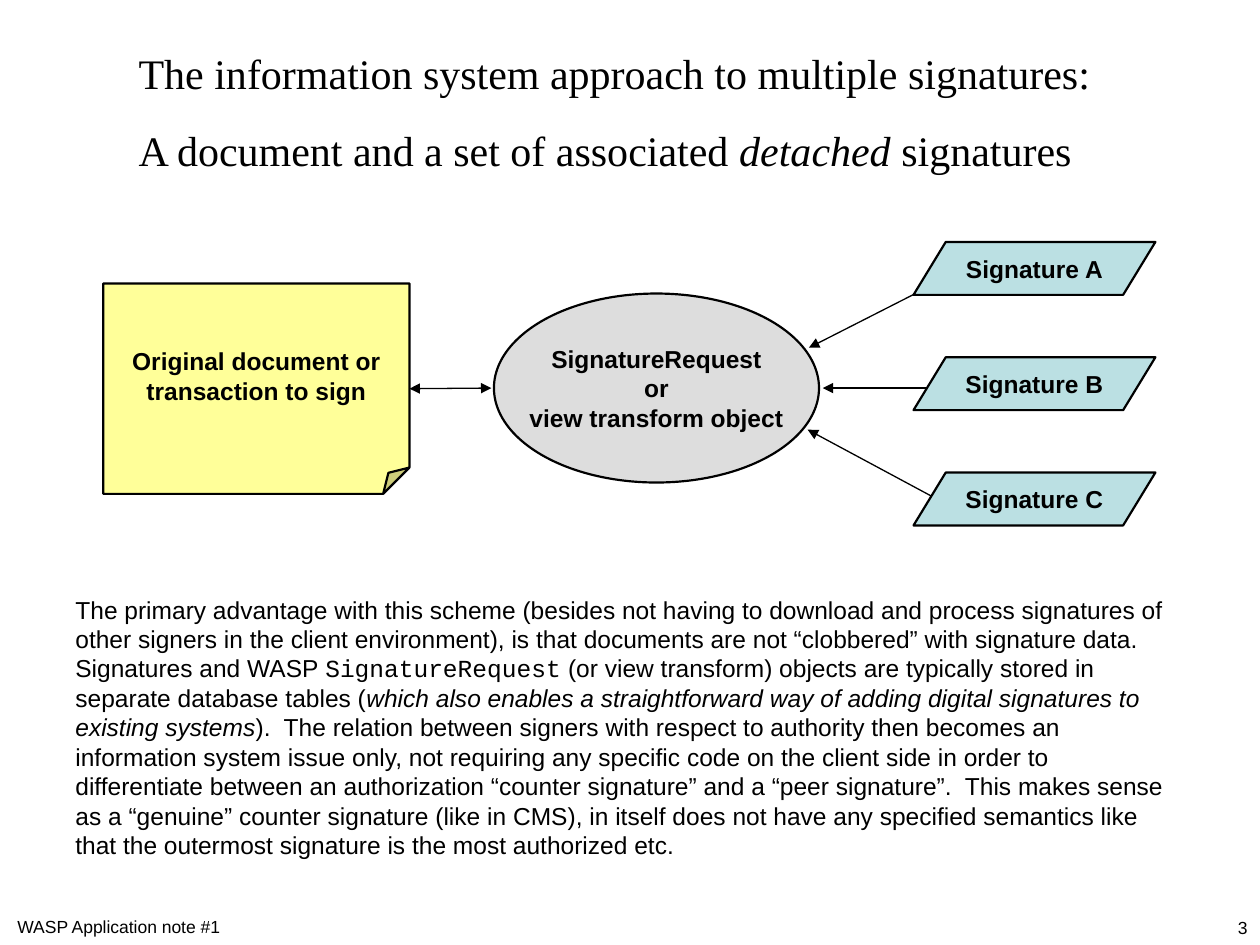
from lxml.etree import SubElement
from pptx import Presentation
from pptx.dml.color import RGBColor
from pptx.enum.shapes import MSO_CONNECTOR as Link, MSO_SHAPE as Shape
from pptx.enum.text import MSO_ANCHOR as Anchor, MSO_AUTO_SIZE as AutoSize, PP_ALIGN as Align
from pptx.oxml.ns import qn
from pptx.util import Inches, Pt

BLACK = "000000"
ADVANTAGE = [
    ("The primary advantage with this scheme (besides not having to download and process "
     "signatures of other signers in the client environment), is that documents are not "
     "“clobbered” with signature data.  Signatures and WASP ", {}),
    ("SignatureRequest", {"font": "Courier New"}),
    (" (or view transform) objects are typically stored in separate database tables (", {}),
    ("which also enables a straightforward way of adding digital signatures to existing systems",
     {"italic": True}),
    (").  The relation between signers with respect to authority then becomes an information "
     "system issue only, not requiring any specific code on the client side in order to "
     "differentiate between an authorization “counter signature” and a “peer signature”.  "
     "This makes sense as a “genuine” counter signature (like in CMS), in itself does not have "
     "any specified semantics like that the outermost signature is the most authorized etc.", {}),
]
HEADING = [
    [("The information system approach to multiple signatures:", {})],
    [("A document and a set of associated ", {}), ("detached", {"italic": True}),
     (" signatures", {})],
]


def color(value):
    return RGBColor.from_string(value)


def write(paragraph, text, font="Arial", size=14, bold=False, italic=False, ink=BLACK):
    for number, line in enumerate(text.split("\n")):
        if number:
            paragraph.add_line_break()
        run = paragraph.add_run()
        run.text = line
        run.font.name = font
        run.font.size = Pt(size)
        run.font.bold = bold
        run.font.italic = italic
        run.font.color.rgb = color(ink)


def fill_text(holder, paragraphs, align=Align.LEFT, space_before=0, **style):
    frame = holder.text_frame
    frame.word_wrap = True
    frame.auto_size = AutoSize.NONE
    frame.vertical_anchor = Anchor.TOP
    for number, pieces in enumerate(paragraphs):
        paragraph = frame.add_paragraph() if number else frame.paragraphs[0]
        paragraph.alignment = align
        paragraph.space_before = Pt(space_before)
        for text, emphasis in pieces:
            write(paragraph, text, **{**style, **emphasis})


def add_heading(slide):
    heading = slide.shapes.title
    heading.left, heading.top = Inches(1), Inches(0.33)
    heading.width, heading.height = Inches(8.25), Inches(1.11)
    fill_text(heading, HEADING, space_before=15, font="Times New Roman", size=24)


def add_text(slide, left, top, width, height, pieces, **style):
    box = slide.shapes.add_textbox(Inches(left), Inches(top), Inches(width), Inches(height))
    fill_text(box, [pieces], **style)


def add_node(slide, kind, left, top, width, height, fill, label):
    node = slide.shapes.add_shape(kind, Inches(left), Inches(top), Inches(width), Inches(height))
    node.shadow.inherit = False
    node.fill.solid()
    node.fill.fore_color.rgb = color(fill)
    node.line.color.rgb = color(BLACK)
    node.line.width = Pt(1.25)
    fill_text(node, [[(label, {})]], align=Align.CENTER, bold=True)
    node.text_frame.vertical_anchor = Anchor.MIDDLE
    node.text_frame.word_wrap = False
    return node


def set_adjustment(node, share):
    guides = node._element.spPr.find(qn("a:prstGeom")).find(qn("a:avLst"))
    for guide in list(guides):
        guides.remove(guide)
    SubElement(guides, qn("a:gd"), name="adj", fmla=f"val {round(share * 100000)}")


def add_arrow(slide, start, end, both_ends=False):
    arrow = slide.shapes.add_connector(Link.STRAIGHT, *map(Inches, start + end))
    arrow.line.color.rgb = color(BLACK)
    arrow.line.width = Pt(0.75)
    outline = arrow.line._get_or_add_ln()
    for tag in ("a:headEnd", "a:tailEnd") if both_ends else ("a:tailEnd",):
        SubElement(outline, qn(tag), type="triangle")
    SubElement(arrow._element.spPr, qn("a:effectLst"))
    return arrow


def add_diagram(slide):
    middle = 3.08
    signature_arrows = [
        ((7.58, 2.17), (6.42, 2.76)),
        ((7.95, middle), (6.53, middle)),
        ((7.49, 3.99), (6.41, 3.41)),
    ]
    for start, end in signature_arrows:
        add_arrow(slide, start, end)
    for row, letter in enumerate("ABC"):
        signature = add_node(slide, Shape.PARALLELOGRAM, 7.25, 1.92 + row * 0.915, 1.92, 0.42,
                             "BBE0E3", f"Signature {letter}")
        set_adjustment(signature, 0.61)
    document = add_node(slide, Shape.FOLDED_CORNER, 0.82, 2.25, 2.43, 1.67, "FFFF99",
                        "Original document or\ntransaction to sign")
    set_adjustment(document, 0.125)
    document_link = add_arrow(slide, (3.9, middle), (3.27, middle), both_ends=True)
    document_link.end_connect(document, 3)
    add_node(slide, Shape.OVAL, 3.92, 2.33, 2.58, 1.5, "DDDDDD",
             "SignatureRequest\nor\nview transform object")


def main():
    deck = Presentation()
    deck.slide_width, deck.slide_height = Inches(10), Inches(7.5)
    slide = deck.slides.add_slide(deck.slide_layouts[5])
    add_heading(slide)
    add_diagram(slide)
    add_text(slide, 0.5, 4.67, 8.92, 2.2, ADVANTAGE)
    footer_style = {"size": 10, "space_before": 6.2}
    add_text(slide, 0.04, 7.22, 3.39, 0.27, [("WASP Application note #1", {})], **footer_style)
    add_text(slide, 6.61, 7.23, 3.39, 0.27, [("3", {})], align=Align.RIGHT, **footer_style)
    deck.save("out.pptx")


if __name__ == "__main__":
    main()
